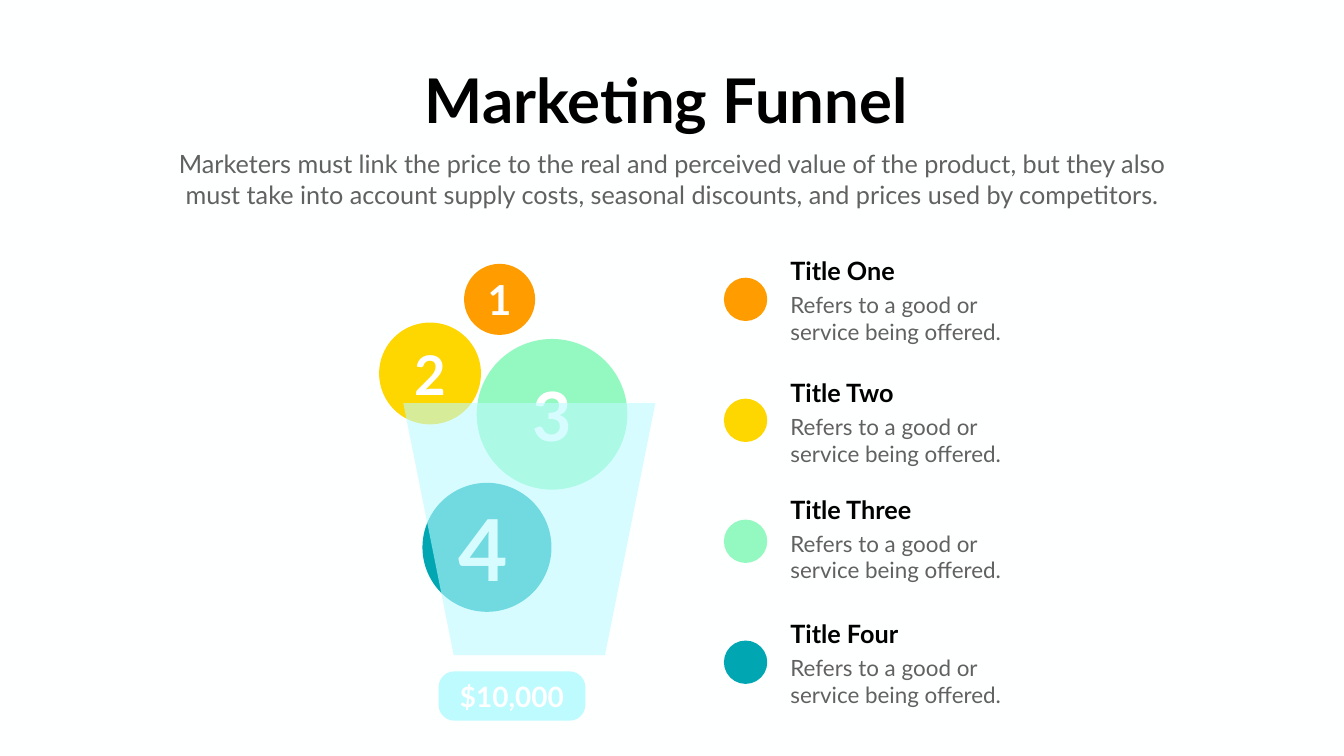
import pptx
import pptx.util
import pptx.dml.color
import pptx.enum.shapes
import pptx.enum.text
import pptx.oxml
import pptx.oxml.ns

Inches = pptx.util.Inches
Shape = pptx.enum.shapes.MSO_SHAPE
Align = pptx.enum.text.PP_ALIGN
Anchor = pptx.enum.text.MSO_ANCHOR

COLORS = {
    "background": "FEFFFF", "heading": "000000", "body": "616161", "white": "FFFFFF",
    "orange": "FF9D00", "yellow": "FED600", "green": "93F9C0", "teal": "00A7B3",
    "glass": "BDFBFF",
}
FONT = "Lato"
WIDTH, HEIGHT = 26.66, 15

HEADLINE = "Marketing Funnel"
INTRO = ("Marketers must link the price to the real and perceived value of the product, "
         "but they also must take into account supply costs, seasonal discounts, "
         "and prices used by competitors.")
DESCRIPTION = ["Refers to a good or", "service being offered."]
PRICE = "$10,000"

LEGEND = [
    ("Title One", "orange", 5.01),
    ("Title Two", "yellow", 7.44),
    ("Title Three", "green", 9.75),
    ("Title Four", "teal", 12.22),
]
DOT_LEFT, DOT_TOP, DOT_SIZE, DOT_PITCH = 14.36, 5.51, 0.86, 2.4
LABEL_LEFT, LABEL_WIDTH, LABEL_HEIGHT, DESCRIPTION_HEIGHT = 15.58, 5, 0.71, 1.18

BALLS = [
    ("2", "yellow", 8.53, 7.41, 2.02, 78, 0),
    ("4", "teal", 9.66, 10.86, 2.56, 122, 0.16),
    ("1", "orange", 9.91, 5.94, 1.41, 59, 0),
    ("3", "green", 10.95, 8.22, 2.99, 97, 0),
]
FUNNEL = [((7.55, 8.04), 0.32), ((12.7, 8.04), 0.32),
          ((11.59, 12.88), 0.21), ((8.66, 12.88), 0.21)]
CURVE_STEPS = 8


def rgb(name):
    return pptx.dml.color.RGBColor.from_string(COLORS[name])


def paint(shape, color):
    shape.shadow.inherit = False
    shape.fill.solid()
    shape.fill.fore_color.rgb = rgb(color)
    shape.line.fill.background()


def write(shape, lines, size, color, bold=False, align=Align.LEFT,
          anchor=Anchor.TOP, inset=None):
    frame = shape.text_frame
    frame.word_wrap = True
    frame.vertical_anchor = anchor
    margins = inset or (0.1, 0.05, 0.1, 0.05)
    frame.margin_left, frame.margin_top, frame.margin_right, frame.margin_bottom = map(Inches, margins)
    for index, line in enumerate(lines):
        para = frame.paragraphs[0] if index == 0 else frame.add_paragraph()
        para.alignment = align
        para.line_spacing = 1.0
        para.space_before = pptx.util.Pt(0)
        span = para.add_run()
        span.text = line
        span.font.name = FONT
        span.font.size = pptx.util.Pt(size)
        span.font.bold = bold
        span.font.color.rgb = rgb(color)


def add_preset(slide, kind, left, top, width, height, color):
    shape = slide.shapes.add_shape(kind, *map(Inches, (left, top, width, height)))
    paint(shape, color)
    return shape


def add_text(slide, left, top, width, height, lines, size, color, **style):
    box = slide.shapes.add_textbox(*map(Inches, (left, top, width, height)))
    write(box, lines, size, color, **style)


def toward(start, end, distance):
    length = ((end[0] - start[0]) ** 2 + (end[1] - start[1]) ** 2) ** 0.5
    return tuple(a + (b - a) * distance / length for a, b in zip(start, end))


def rounded_outline(corners):
    points = []
    for index, (corner, radius) in enumerate(corners):
        enter = toward(corner, corners[index - 1][0], radius)
        leave = toward(corner, corners[(index + 1) % len(corners)][0], radius)
        for step in range(CURVE_STEPS + 1):
            t = step / CURVE_STEPS
            points.append(tuple((1 - t) ** 2 * a + 2 * t * (1 - t) * b + t ** 2 * c
                                for a, b, c in zip(enter, corner, leave)))
    return points


def add_funnel(slide):
    points = rounded_outline(FUNNEL)
    builder = slide.shapes.build_freeform(*points[0], scale=Inches(1))
    builder.add_line_segments(points[1:], close=True)
    funnel = builder.convert_to_shape()
    paint(funnel, "glass")
    tint = funnel.fill._xPr.find(".//" + pptx.oxml.ns.qn("a:srgbClr"))
    tint.append(pptx.oxml.parse_xml(
        f'<a:alpha {pptx.oxml.ns.nsdecls("a")} val="60000"/>'))


def main():
    deck = pptx.Presentation()
    deck.slide_width, deck.slide_height = Inches(WIDTH), Inches(HEIGHT)
    slide = deck.slides.add_slide(deck.slide_layouts[5])
    slide.background.fill.solid()
    slide.background.fill.fore_color.rgb = rgb("background")

    title = slide.shapes.title
    title.left, title.top, title.width, title.height = map(Inches, (7.21, 1.17, 12.01, 1.58))
    write(title, [HEADLINE], 88, "heading", bold=True, align=Align.CENTER)
    add_text(slide, 3.03, 2.9, 20.6, 1.31, [INTRO], 36, "body", align=Align.CENTER)

    for row, (label, color, top) in enumerate(LEGEND):
        add_preset(slide, Shape.OVAL, DOT_LEFT, DOT_TOP + row * DOT_PITCH,
                   DOT_SIZE, DOT_SIZE, color)
        add_text(slide, LABEL_LEFT, top, LABEL_WIDTH, LABEL_HEIGHT,
                 [label], 36, "heading", bold=True)
        add_text(slide, LABEL_LEFT, top + LABEL_HEIGHT, LABEL_WIDTH, DESCRIPTION_HEIGHT,
                 DESCRIPTION, 32, "body")

    centered = dict(bold=True, align=Align.CENTER, anchor=Anchor.MIDDLE)
    for number, color, x, y, size, points, shift in BALLS:
        ball = add_preset(slide, Shape.OVAL, x - size / 2, y - size / 2, size, size, color)
        write(ball, [number], points, "white", inset=(0, 0, shift, 0), **centered)

    price = add_preset(slide, Shape.ROUNDED_RECTANGLE, 8.7, 13.32, 2.91, 0.98, "glass")
    price.adjustments[0] = 0.32
    write(price, [PRICE], 40, "white", **centered)

    add_funnel(slide)
    deck.save("out.pptx")


if __name__ == "__main__":
    main()
